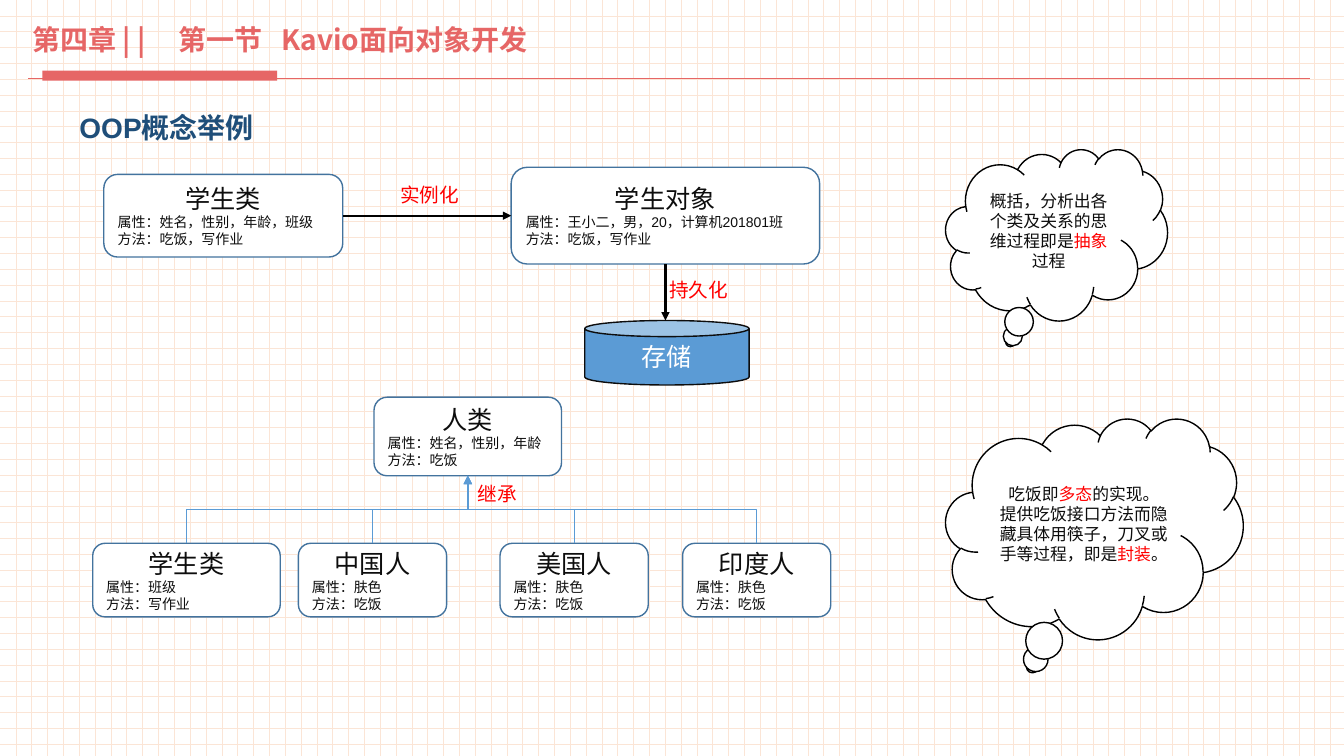
"""Build a slide that explains object-oriented concepts with student classes."""
from dataclasses import dataclass

from lxml.etree import SubElement
from pptx import Presentation
from pptx.dml.color import RGBColor
from pptx.enum.dml import MSO_PATTERN
from pptx.enum.shapes import MSO_CONNECTOR, MSO_SHAPE
from pptx.enum.text import MSO_ANCHOR, MSO_AUTO_SIZE, PP_ALIGN
from pptx.oxml.ns import qn
from pptx.util import Inches, Pt


@dataclass(frozen=True)
class Theme:
    """Hold the colours, fonts and type sizes of the slide."""
    coral: str = "E66666"
    navy: str = "1F4E79"
    blue: str = "5B9BD5"
    outline: str = "43739E"
    ink: str = "0D0D0D"
    black: str = "000000"
    red: str = "FF0000"
    white: str = "FFFFFF"
    grid: str = "FBE5D6"
    title_font: str = "Noto Sans CJK SC"
    font: str = "Arial"
    heading_size: int = 20
    name_size: int = 18
    label_size: int = 14
    thought_size: int = 12
    member_size: int = 10


THEME = Theme()


def rgb(code):
    """Turn a hex code into a colour."""
    return RGBColor.from_string(code)


def format_span(span, size, color, bold=False, font=THEME.font):
    """Set the type of one run, for Latin and East Asian letters."""
    span.font.name = font
    span.font.size = Pt(size)
    span.font.bold = bold
    span.font.color.rgb = rgb(color)
    SubElement(span.font._element, qn("a:ea")).set("typeface", font)


def write_paragraph(para, text, size, color, align=PP_ALIGN.LEFT, bold=False):
    """Fill a paragraph with text of one style."""
    para.text = text
    para.alignment = align
    for span in para.runs:
        format_span(span, size, color, bold)


def add_box(page, kind, place, fill, line=None):
    """Add a filled preset shape without shadow."""
    box = page.shapes.add_shape(kind, *map(Inches, place))
    box.shadow.inherit = False
    box.fill.solid()
    box.fill.fore_color.rgb = rgb(fill)
    if line:
        box.line.color.rgb = rgb(line)
        box.line.width = Pt(1)
    else:
        box.line.fill.background()
    box.text_frame.vertical_anchor = MSO_ANCHOR.MIDDLE
    return box


def add_class(page, place, name, attributes, methods):
    """Add a rounded box with a name, its attributes and its methods."""
    box = add_box(page, MSO_SHAPE.ROUNDED_RECTANGLE, place, THEME.white, THEME.outline)
    frame = box.text_frame
    write_paragraph(frame.paragraphs[0], name, THEME.name_size, THEME.ink, PP_ALIGN.CENTER)
    for member in (f"属性：{attributes}", f"方法：{methods}"):
        write_paragraph(frame.add_paragraph(), member, THEME.member_size, THEME.ink)
    return box


def add_thought(page, place, paragraphs):
    """Add a cloud; every second part of a paragraph is highlighted."""
    cloud = add_box(page, MSO_SHAPE.CLOUD_CALLOUT, place, THEME.white, THEME.black)
    frame = cloud.text_frame
    for index, parts in enumerate(paragraphs):
        para = frame.add_paragraph() if index else frame.paragraphs[0]
        para.alignment = PP_ALIGN.CENTER
        for position, part in enumerate(parts):
            span = para.add_run()
            span.text = part
            format_span(span, THEME.thought_size, THEME.red if position % 2 else THEME.ink)


def add_text(page, place, text, size, color, align=PP_ALIGN.LEFT, bold=False):
    """Add a text box with one line."""
    frame = page.shapes.add_textbox(*map(Inches, place)).text_frame
    frame.word_wrap = True
    frame.auto_size = MSO_AUTO_SIZE.SHAPE_TO_FIT_TEXT
    write_paragraph(frame.paragraphs[0], text, size, color, align, bold)


def add_label(page, left, top, text):
    """Add a red label beside an arrow."""
    add_text(page, (left, top, 0.82, 0.34), text, THEME.label_size, THEME.red, PP_ALIGN.JUSTIFY)


def add_line(page, start, end, color, width, arrow=True, kind=MSO_CONNECTOR.STRAIGHT):
    """Add a connector without shadow, with an arrowhead if wanted."""
    line = page.shapes.add_connector(kind, *map(Inches, (*start, *end)))
    line.line.color.rgb = rgb(color)
    line.line.width = Pt(width)
    if arrow:
        SubElement(line.line._get_or_add_ln(), qn("a:tailEnd")).set("type", "triangle")
    SubElement(line._element.spPr, qn("a:effectLst"))
    return line


def add_inheritance(page, child, parent):
    """Add an elbow arrow that leaves a child upwards and enters its parent."""
    center_x, center_y = ((a + b) / 2 for a, b in zip(child, parent))
    rise = (child[1] - parent[1]) / 2
    span = abs(child[0] - parent[0]) / 2
    from_left = child[0] < parent[0]
    reach = rise if from_left else -rise
    line = add_line(page, (center_x + reach, center_y + span),
                    (center_x - reach, center_y - span),
                    THEME.blue, 0.5, kind=MSO_CONNECTOR.ELBOW)
    degrees = 90 if from_left else 270
    line._element.spPr.find(qn("a:xfrm")).set("rot", str(degrees * 60000))


def add_header(page):
    """Add the chapter title with its rule and accent bar."""
    add_line(page, (0.28, 0.78), (12.99, 0.78), THEME.coral, 0.5, arrow=False)
    add_box(page, MSO_SHAPE.RECTANGLE, (0.42, 0.7, 2.33, 0.1), THEME.coral)
    title = page.shapes.title
    title.left, title.top, title.width, title.height = map(Inches, (0.22, 0.21, 10.21, 0.58))
    frame = title.text_frame
    frame.text = "第四章 | |\t第一节\tKavio面向对象开发"
    frame.vertical_anchor = MSO_ANCHOR.TOP
    frame.auto_size = MSO_AUTO_SIZE.NONE
    para = frame.paragraphs[0]
    para.alignment = PP_ALIGN.LEFT
    para.line_spacing = 0.9
    stops = SubElement(para._p.get_or_add_pPr(), qn("a:tabLst"))
    for position in (1.45, 2.47):
        stop = SubElement(stops, qn("a:tab"))
        stop.set("pos", str(Inches(position)))
        stop.set("algn", "l")
    for span in para.runs:
        format_span(span, THEME.heading_size, THEME.coral, True, THEME.title_font)


def add_instance_part(page):
    """Show a class, its object and the storage of the object."""
    student = add_class(page, (1.03, 1.73, 2.37, 0.82), "学生类", "姓名，性别，年龄，班级", "吃饭，写作业")
    pupil = add_class(page, (5.07, 1.66, 3.06, 0.96), "学生对象",
                      "王小二，男，20，计算机201801班", "吃饭，写作业")
    create = add_line(page, (3.4, 2.14), (5.07, 2.14), THEME.black, 1.5)
    create.begin_connect(student, 3)
    create.end_connect(pupil, 1)
    add_label(page, 3.87, 1.77, "实例化")
    store = add_box(page, MSO_SHAPE.CAN, (5.8, 3.18, 1.63, 0.64), THEME.blue, THEME.ink)
    write_paragraph(store.text_frame.paragraphs[0], "存储", THEME.name_size,
                    THEME.white, PP_ALIGN.CENTER)
    persist = add_line(page, (6.6, 2.62), (6.6, 3.18), THEME.black, 1.5)
    persist.begin_connect(pupil, 2)
    add_label(page, 6.54, 2.71, "持久化")


def add_inheritance_part(page):
    """Show the parent class and the classes that inherit from it."""
    add_class(page, (3.71, 3.94, 1.86, 0.78), "人类", "姓名，性别，年龄", "吃饭")
    children = (
        (0.92, 1.86, "学生类", "班级", "写作业"),
        (2.96, 1.47, "中国人", "肤色", "吃饭"),
        (4.96, 1.47, "美国人", "肤色", "吃饭"),
        (6.77, 1.47, "印度人", "肤色", "吃饭"),
    )
    top = 5.39
    for left, width, name, attributes, methods in children:
        add_class(page, (left, top, width, 0.73), name, attributes, methods)
        add_inheritance(page, (left + width / 2, top), (4.64, 4.72))
    add_label(page, 4.64, 4.73, "继承")


def main():
    """Build the deck and save it."""
    deck = Presentation()
    deck.slide_width, deck.slide_height = Inches(13.33), Inches(7.5)
    page = deck.slides.add_slide(deck.slide_layouts[5])
    backdrop = page.background.fill
    backdrop.patterned()
    backdrop.pattern = MSO_PATTERN.DOTTED_GRID
    backdrop.fore_color.rgb = rgb(THEME.grid)
    backdrop.back_color.rgb = rgb(THEME.white)
    add_header(page)
    add_text(page, (0.69, 1.05, 4.47, 0.44), "OOP概念举例", THEME.heading_size, THEME.navy, bold=True)
    add_instance_part(page)
    add_inheritance_part(page)
    add_thought(page, (9.38, 1.48, 2.2, 1.7),
                [("概括，分析出各个类及关系的思维过程即是", "抽象", "过程")])
    add_thought(page, (9.38, 4.15, 2.95, 2.19),
                [("吃饭即", "多态", "的实现。"),
                 ("提供吃饭接口方法而隐藏具体用筷子，刀叉或手等过程，即是", "封装", "。")])
    deck.save("out.pptx")


if __name__ == "__main__":
    main()
